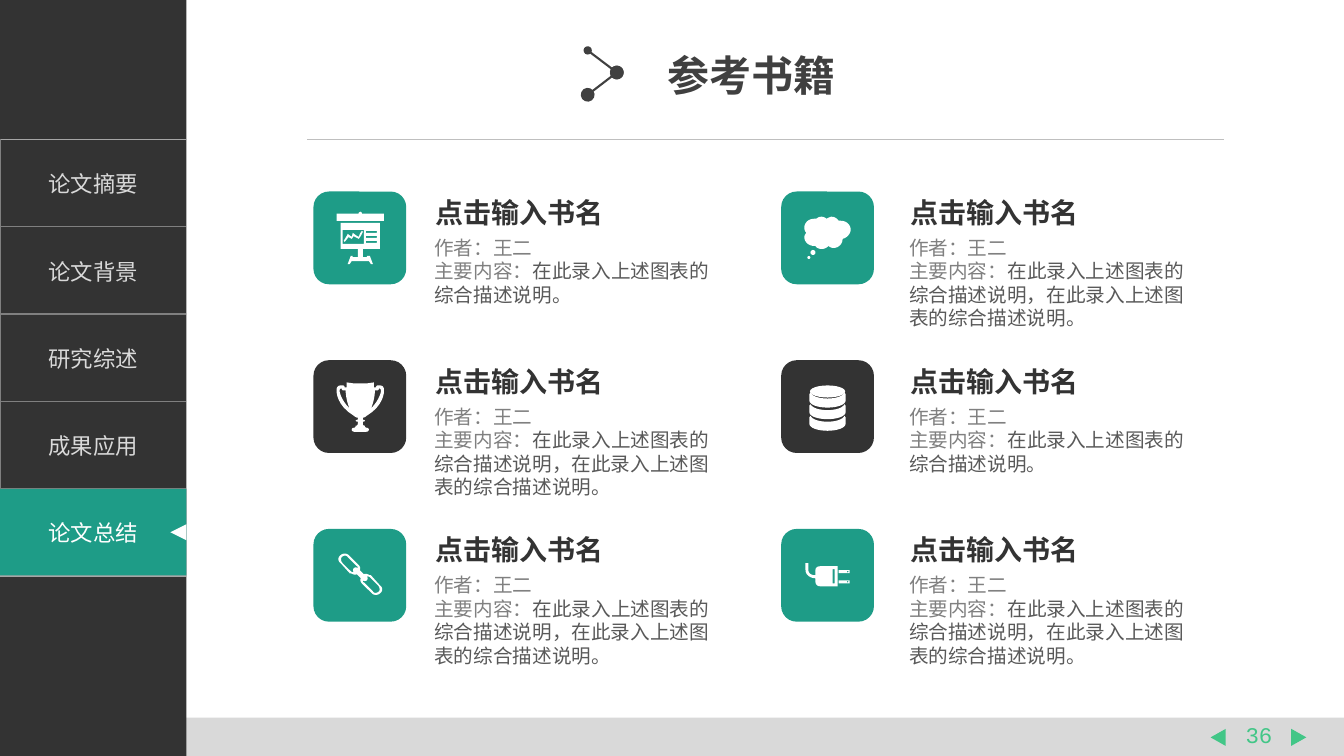
from dataclasses import dataclass

from lxml.etree import SubElement
from pptx import Presentation
from pptx.dml.color import RGBColor
from pptx.enum.shapes import MSO_CONNECTOR, MSO_SHAPE
from pptx.enum.text import MSO_ANCHOR, MSO_AUTO_SIZE, PP_ALIGN
from pptx.oxml.ns import qn
from pptx.util import Pt

ICON_UNIT = 0.72  # points per step of the 92-step icon grid
TILE = 92 * ICON_UNIT


@dataclass(frozen=True)
class Theme:
    teal: str = "1E9C87"
    green: str = "42C687"
    dark: str = "333333"
    title: str = "404040"
    body: str = "595959"
    muted: str = "808080"
    border: str = "A6A6A6"
    rule: str = "BFBFBF"
    pale: str = "D9D9D9"
    white: str = "FFFFFF"
    font: str = "Noto Sans CJK SC"
    title_size: float = 30
    heading_size: float = 20
    menu_size: float = 16
    body_size: float = 14


def flatten(segments):
    """Turn (x, y) corners and (x1, y1, x2, y2, x, y) cubic curves into points."""
    points = []
    for *controls, x, y in segments:
        if controls:
            x0, y0 = points[-1]
            x1, y1, x2, y2 = controls
            for t in (step / 8 for step in range(1, 8)):
                a, b, c, d = (1 - t) ** 3, 3 * t * (1 - t) ** 2, 3 * t * t * (1 - t), t ** 3
                points.append((a * x0 + b * x1 + c * x2 + d * x, a * y0 + b * y1 + c * y2 + d * y))
        points.append((x, y))
    return points


def mirror(points, axis):
    return [(2 * axis - x, y) for x, y in reversed(points)]


def half_turn(points):
    """Rotate points by 180 degrees about the middle of the chain."""
    return [(93 - x, 90 - y) for x, y in points]


def box(left, top, right, bottom):
    return [(left, top), (right, top), (right, bottom), (left, bottom)]


class SlideBuilder:
    def __init__(self, slide, theme):
        self.theme = theme
        self.slide = slide
        self.shapes = slide.shapes

    def start_group(self):
        self.shapes = self.slide.shapes.add_group_shape().shapes

    def end_group(self):
        self.shapes = self.slide.shapes

    def paint(self, shape, color):
        shape.shadow.inherit = False
        shape.fill.solid()
        shape.fill.fore_color.rgb = RGBColor.from_string(color)
        shape.line.fill.background()
        return shape

    def preset(self, kind, left, top, width, height, color, rotation=0):
        shape = self.shapes.add_shape(kind, Pt(left), Pt(top), Pt(width), Pt(height))
        shape.rotation = rotation
        return self.paint(shape, color)

    def outline(self, left, top, *contours):
        """Draw white closed contours given on the icon grid of the tile at left, top."""
        placed = [[(Pt(left + x * ICON_UNIT), Pt(top + y * ICON_UNIT)) for x, y in contour]
                  for contour in contours]
        builder = self.shapes.build_freeform(*placed[0][0])
        for index, contour in enumerate(placed):
            if index:
                builder.move_to(*contour[0])
            builder.add_line_segments(contour[1:], close=True)
        return self.paint(builder.convert_to_shape(), self.theme.white)

    def line(self, start, end, color, width, ends=()):
        connector = self.shapes.add_connector(MSO_CONNECTOR.STRAIGHT, *map(Pt, start + end))
        connector.line.color.rgb = RGBColor.from_string(color)
        connector.line.width = Pt(width)
        for tag, size in ends:
            SubElement(connector.line._get_or_add_ln(), qn(tag), type="oval", w=size, len=size)
        SubElement(connector._element.spPr, qn("a:effectLst"))

    def add_text(self, paragraph, text, size, color, bold=False, font=None, align=None):
        run = paragraph.add_run()
        run.text = text
        name = font or self.theme.font
        formats = {"size": Pt(size), "bold": bold, "name": name}
        for attribute, value in formats.items():
            setattr(run.font, attribute, value)
        run.font.color.rgb = RGBColor.from_string(color)
        SubElement(run.font._element, qn("a:ea"), typeface=name)
        paragraph.alignment = align

    def text_frame(self, left, top, width, height, wrap=False):
        frame = self.shapes.add_textbox(Pt(left), Pt(top), Pt(width), Pt(height)).text_frame
        formats = {"word_wrap": wrap, "auto_size": MSO_AUTO_SIZE.SHAPE_TO_FIT_TEXT}
        for attribute, value in formats.items():
            setattr(frame, attribute, value)
        return frame

    def cell_border(self, cell, tag, color):
        border = SubElement(cell._tc.get_or_add_tcPr(), qn(tag), w=str(Pt(1)))
        if color:
            SubElement(SubElement(border, qn("a:solidFill")), qn("a:srgbClr"), val=color)
        else:
            SubElement(border, qn("a:noFill"))

    def menu(self, labels, left, top, width, row_height):
        theme, last = self.theme, len(labels) - 1
        table = self.shapes.add_table(len(labels), 1, Pt(left), Pt(top), Pt(width),
                                      Pt(row_height * len(labels))).table
        table.first_row = table.horz_banding = False
        for index, label in enumerate(labels):
            table.rows[index].height = Pt(row_height)
            cell = table.cell(index, 0)
            cell.vertical_anchor = MSO_ANCHOR.MIDDLE
            self.add_text(cell.text_frame.paragraphs[0], label, theme.menu_size, theme.pale,
                          align=PP_ALIGN.CENTER)
            edges = {"a:lnL": theme.muted, "a:lnR": None,
                     "a:lnT": theme.muted if index else theme.border,
                     "a:lnB": theme.border if index == last else theme.muted}
            for tag, color in edges.items():
                self.cell_border(cell, tag, color)
            cell.fill.background()

    def book(self, left, top, text_left, icon, color, content):
        theme = self.theme
        self.start_group()
        self.preset(MSO_SHAPE.ROUNDED_RECTANGLE, left, top, TILE, TILE, color)
        for x, y, width, height in icon.get("ovals", []):
            self.preset(MSO_SHAPE.OVAL, left + x * ICON_UNIT, top + y * ICON_UNIT,
                        width * ICON_UNIT, height * ICON_UNIT, theme.white)
        for contours in icon["outlines"]:
            self.outline(left, top, *contours)
        self.end_group()
        heading = self.text_frame(text_left, top - 0.7, 135.4, 31.7).paragraphs[0]
        self.add_text(heading, "点击输入书名", theme.heading_size, theme.dark, bold=True)
        frame = self.text_frame(text_left - 0.7, top + 28.1, 213.8, 75, wrap=True)
        self.add_text(frame.paragraphs[0], "作者：王二", theme.body_size, theme.muted)
        paragraph = frame.add_paragraph()
        self.add_text(paragraph, "主要内容：", theme.body_size, theme.muted)
        self.add_text(paragraph, content, theme.body_size, theme.body)


cup = flatten([(46.5, 23), (40, 23), (33, 22), (33, 27), (31, 27), (31, 27, 31, 25, 29, 25), (27, 25),
               (23, 25, 23, 29, 23, 29), (23, 31), (23, 31, 23, 45, 40, 55), (40, 55, 42, 57, 44, 57),
               (44, 59), (44, 59, 42, 59, 42, 60), (42, 61, 44, 61, 44, 61), (44, 63),
               (44, 63, 44, 65, 42, 65), (42, 67, 40, 67, 40, 67), (40, 67, 38, 67, 38, 69),
               (38, 69, 38, 71, 41, 71)])
handle = flatten([(36, 48), (27, 39, 26, 31, 26, 31), (26, 30), (26, 30, 26, 28, 28, 28),
                  (28, 28, 28, 30, 30, 30), (32, 30), (32, 36, 34, 44, 36, 48)])
link = flatten([(56, 46), (54, 45, 52, 44, 50, 45), (46, 41), (47, 39, 46, 37, 45, 36), (35, 26),
                (33, 24, 29, 24, 27, 26), (24, 28, 24, 32, 27, 34), (36, 44)])
link_hole = flatten([(37, 42), (29, 34), (27, 32, 27, 29, 28, 28), (30, 26, 33, 26, 34, 28), (43, 37),
                     (44, 37, 44, 38, 44, 39), (43, 38, 41, 38, 40, 39), (39, 40, 39, 42, 40, 43),
                     (41, 43), (40, 43, 38, 43, 37, 42)])
disc = flatten([(46, 17), (38, 17, 31, 15, 29, 11), (29, 12, 28, 12, 28, 13), (28, 19),
                (28, 23, 36, 26, 46, 26)])
disc += mirror(disc, 46)
cloud = flatten([(69, 38), (69, 33, 65, 29, 59, 29), (57, 29), (56, 27, 53, 25, 50, 25),
                 (49, 25, 47, 26, 45, 27), (44, 26, 42, 25, 40, 25), (38, 25, 36, 26, 35, 27), (33, 27),
                 (27, 27, 23, 31, 23, 36), (23, 38, 24, 40, 25, 41), (24, 42, 23, 44, 23, 45),
                 (23, 50, 27, 54, 33, 54), (34, 54), (35, 56, 38, 57, 40, 57), (43, 57, 45, 56, 47, 54),
                 (48, 55, 50, 56, 52, 56), (57, 56, 61, 52, 61, 47), (65, 46, 69, 42, 69, 38)])
plug = flatten([(34, 42), (34, 46), (26, 46, 27, 40, 27, 40), (27, 34), (24, 34), (24, 40),
                (24, 49, 34, 49, 34, 49), (34, 51), (34, 51, 33, 57, 39, 57), (56, 57), (56, 37),
                (39, 37), (33, 37, 34, 42, 34, 42)])
roller = [(48, 22), (48, 21), (46.5, 20), (45, 21), (45, 22), (23, 22), (23, 29), (70, 29), (70, 22)]
stand = [(66, 57), (66, 31), (27, 31), (27, 57), (44, 57), (44, 65), (39, 65), (39, 64), (37, 64),
         (34, 72), (36, 72), (38, 69), (55, 69), (57, 72), (59, 72), (56, 64), (53, 64), (53, 65),
         (49, 65), (49, 57)]
trend = [(46, 42), (45, 45), (43, 44), (39, 41), (38, 45), (34, 42), (33, 44), (30, 49), (31, 50),
         (35, 45), (36, 46), (38, 47), (40, 44), (41, 45), (45, 47), (47, 44), (49, 40), (48, 39)]

BOARD = {"outlines": [[roller], [stand, box(29, 38, 50, 52)] + [box(52, y, 63, y + 2) for y in (39, 44, 49)],
                      [trend]]}
CLOUD = {"ovals": [(29, 58, 5, 5), (26, 64, 3, 3)], "outlines": [[cloud]]}
TROPHY = {"outlines": [[cup + mirror(cup, 46.5), handle, mirror(handle, 46.5)]]}
DATABASE = {"ovals": [(28.5, 25, 35, 12)],
            "outlines": [[[(x, y + 21 + 11.5 * level) for x, y in disc]] for level in range(3)]}
CHAIN = {"outlines": [[link + half_turn(link), link_hole, half_turn(link_hole)]]}
PLUG = {"outlines": [[plug, box(51, 40, 53, 54)]] + [
    [box(57, y, 68, y + 3), [(65, y + 1.5), (66, y + 0.5), (67, y + 1.5), (66, y + 2.5)]] for y in (51, 41)]}


def main():
    presentation = Presentation()
    presentation.slide_width, presentation.slide_height = Pt(960), Pt(540)
    theme = Theme()
    builder = SlideBuilder(presentation.slides.add_slide(presentation.slide_layouts[6]), theme)

    builder.preset(MSO_SHAPE.RECTANGLE, 0, 512.6, 960, 27.4, theme.pale)
    number = builder.text_frame(882, 511.9, 34.6, 26.6).paragraphs[0]
    builder.add_text(number, "36", theme.menu_size, theme.green, font="Courier New", align=PP_ALIGN.CENTER)
    builder.preset(MSO_SHAPE.RECTANGLE, 0, 0, 133.2, 540, theme.dark)
    builder.menu(["论文摘要", "论文背景", "研究综述", "成果应用", "论文总结"], 0, 99.5, 133.2, 62.4)
    for left, rotation in ((921.6, 90), (864, 270)):
        builder.preset(MSO_SHAPE.ISOSCELES_TRIANGLE, left, 521.3, 12.2, 10.8, theme.green, rotation)
    builder.line((219.6, 99.8), (874.1, 99.8), theme.rule, 0.5)

    builder.start_group()
    active = builder.preset(MSO_SHAPE.RECTANGLE, 0, 349.2, 133.2, 61.9, theme.teal)
    active.text_frame.vertical_anchor = MSO_ANCHOR.MIDDLE
    builder.add_text(active.text_frame.paragraphs[0], "论文总结", theme.menu_size, theme.white,
                     align=PP_ALIGN.CENTER)
    builder.preset(MSO_SHAPE.ISOSCELES_TRIANGLE, 121.7, 374.4, 11.5, 11.5, theme.white, 270)
    builder.end_group()

    short = "在此录入上述图表的综合描述说明。"
    long = "在此录入上述图表的综合描述说明，在此录入上述图表的综合描述说明。"
    columns = [(223.9, 303.8, [(BOARD, short), (TROPHY, long), (CHAIN, long)]),
               (558, 643, [(CLOUD, long), (DATABASE, short), (PLUG, long)])]
    for left, text_left, books in columns:
        for row, (icon, content) in enumerate(books):
            color = theme.dark if row == 1 else theme.teal
            builder.book(left, 136.8 + 120.5 * row, text_left, icon, color, content)

    title = builder.text_frame(469.4, 31.7, 135.4, 43.9).paragraphs[0]
    builder.add_text(title, "参考书籍", theme.title_size, theme.title, bold=True, font="Arial")
    builder.start_group()
    top, middle, bottom = (419.8, 36), (440.6, 51.8), (419.8, 67.7)
    builder.line(top, middle, theme.title, 1.5, [("a:headEnd", "med"), ("a:tailEnd", "lg")])
    builder.line(middle, bottom, theme.title, 1.5, [("a:headEnd", "lg"), ("a:tailEnd", "lg")])
    builder.end_group()
    presentation.save("out.pptx")


if __name__ == "__main__":
    main()
